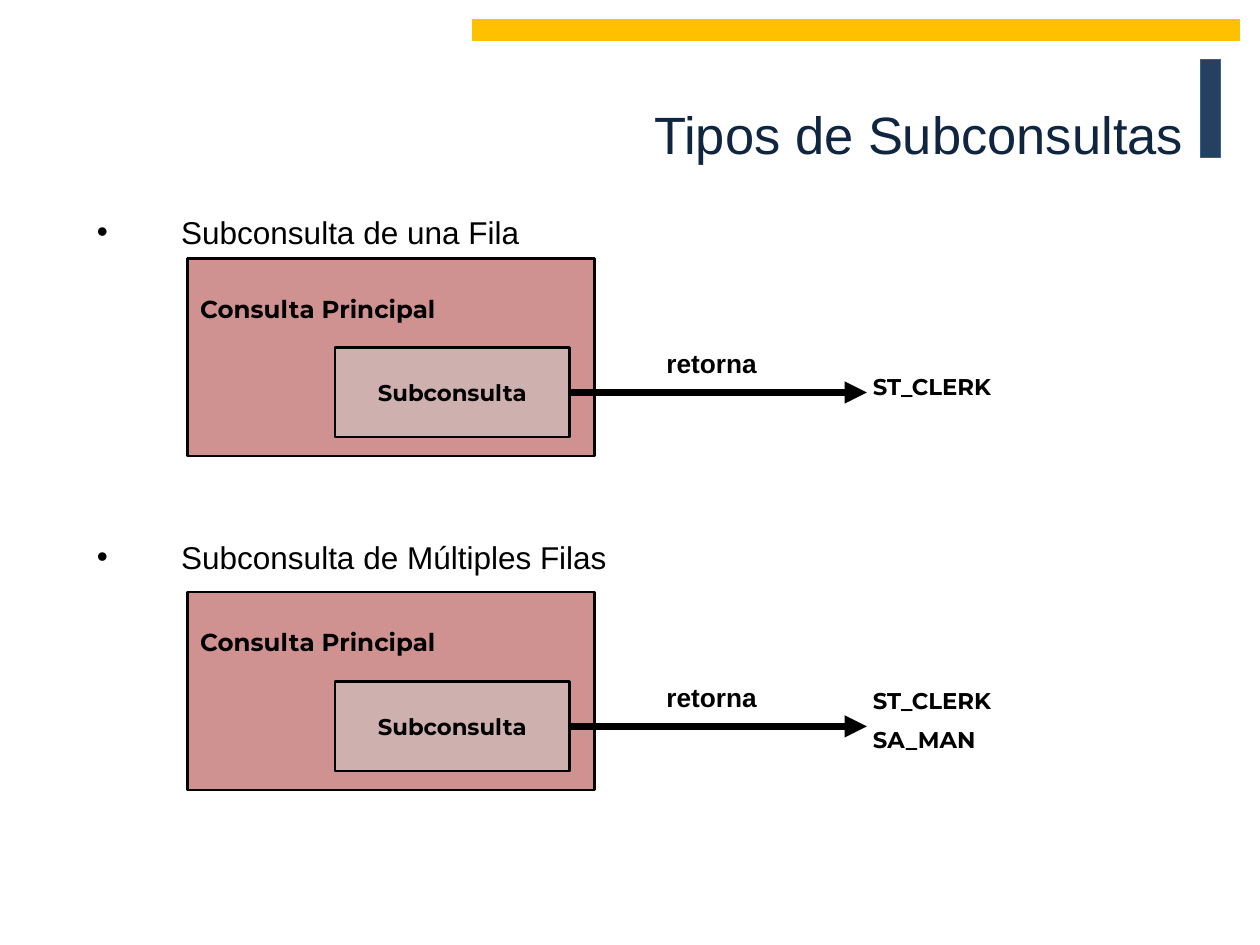
from lxml.etree import SubElement
from pptx import Presentation
from pptx.dml.color import RGBColor
from pptx.enum.shapes import MSO_CONNECTOR, MSO_SHAPE
from pptx.enum.text import MSO_ANCHOR, PP_ALIGN
from pptx.oxml.ns import qn
from pptx.util import Inches, Pt

BLACK = RGBColor(0x00, 0x00, 0x00)
NAVY = RGBColor(0x10, 0x25, 0x3F)
SLATE = RGBColor(0x25, 0x40, 0x61)
BLUE = RGBColor(0x37, 0x60, 0x92)
GOLD = RGBColor(0xFF, 0xC0, 0x00)
ROSE = RGBColor(0xD0, 0x92, 0x90)
PALE_ROSE = RGBColor(0xCE, 0xB0, 0xAF)


class SubqueryPage:
    """Style and current slide for the subquery diagrams."""

    body_font = "Arial"
    label_font = "Montserrat"

    def __init__(self, deck):
        self.page = deck.slides.add_slide(deck.slide_layouts[6])

    def add_span(self, para, text, size, font, color=BLACK, bold=True):
        span = para.add_run()
        span.text = text
        span.font.size = Pt(size)
        span.font.name = font
        span.font.bold = bold
        span.font.color.rgb = color

    def rectangle(self, left, top, width, height, fill, line=BLACK, weight=1.5):
        box = self.page.shapes.add_shape(
            MSO_SHAPE.RECTANGLE, Inches(left), Inches(top), Inches(width), Inches(height))
        box.shadow.inherit = False
        box.fill.solid()
        box.fill.fore_color.rgb = fill
        box.line.color.rgb = line
        box.line.width = Pt(weight)
        return box

    def text_box(self, left, top, width, height, wrap=False):
        box = self.page.shapes.add_textbox(
            Inches(left), Inches(top), Inches(width), Inches(height))
        box.text_frame.word_wrap = wrap
        return box.text_frame

    def title(self, text):
        frame = self.text_box(1.14, 0.26, 8.35, 1.6, wrap=True)
        frame.vertical_anchor = MSO_ANCHOR.MIDDLE
        para = frame.paragraphs[0]
        para.alignment = PP_ALIGN.RIGHT
        self.add_span(para, text, 30, self.body_font, NAVY, bold=False)

    def lines(self, frame, texts, size, font, gap, bold=True):
        for index, text in enumerate(texts):
            para = frame.add_paragraph() if index else frame.paragraphs[0]
            if index:
                para.space_before = Pt(gap)
            self.add_span(para, text, size, font, bold=bold)

    def bullets(self, texts, gap):
        frame = self.text_box(0.67, 1.7, 8.74, 0.45, wrap=True)
        self.lines(frame, texts, 18, self.body_font, gap, bold=False)
        for para in frame.paragraphs:
            para.line_spacing = 0.8
            properties = para._p.get_or_add_pPr()
            properties.set("marL", str(Inches(0.67)))
            properties.set("indent", str(Inches(-0.67)))
            SubElement(properties, qn("a:buFont")).set("typeface", self.body_font)
            SubElement(properties, qn("a:buChar")).set("char", "•")

    def arrow(self, start_box, end_left):
        middle = start_box.top + start_box.height // 2
        arrow = self.page.shapes.add_connector(
            MSO_CONNECTOR.STRAIGHT, start_box.left + start_box.width, middle,
            Inches(end_left), middle)
        arrow.begin_connect(start_box, 3)
        arrow.line.color.rgb = BLACK
        arrow.line.width = Pt(4.25)
        SubElement(arrow.line._get_or_add_ln(), qn("a:tailEnd")).set("type", "triangle")
        SubElement(arrow._element.spPr, qn("a:effectLst"))

    def diagram(self, top, results):
        outer = self.rectangle(1.49, top, 3.23, 1.57, ROSE).text_frame
        outer.vertical_anchor = MSO_ANCHOR.TOP
        outer.margin_top = Inches(0.28)
        outer.paragraphs[0].alignment = PP_ALIGN.LEFT
        self.add_span(outer.paragraphs[0], "Consulta Principal", 14, self.label_font)

        inner = self.rectangle(2.66, top + 0.71, 1.86, 0.71, PALE_ROSE)
        inner.text_frame.vertical_anchor = MSO_ANCHOR.MIDDLE
        para = inner.text_frame.paragraphs[0]
        para.alignment = PP_ALIGN.CENTER
        self.add_span(para, "Subconsulta", 13, self.label_font)

        self.arrow(inner, 6.88)
        caption = self.text_box(5.19, top + 0.66, 0.92, 0.35)
        self.add_span(caption.paragraphs[0], "retorna", 15, self.body_font)

        height = 0.32 * len(results)
        frame = self.text_box(6.83, top + 1.02 - height / 2, 1.23, height)
        self.lines(frame, results, 13, self.label_font, 6.5)


def main():
    deck = Presentation()
    deck.slide_width = Inches(10)
    deck.slide_height = Inches(7.5)

    slide = SubqueryPage(deck)
    slide.rectangle(9.53, 0.47, 0.16, 0.78, SLATE, BLUE, 0.75)
    slide.rectangle(3.75, 0.16, 6.09, 0.16, GOLD, GOLD, 0.75)
    slide.title("Tipos de Subconsultas")
    slide.bullets(["Subconsulta de una Fila", "Subconsulta de Múltiples Filas"], 168.5)
    slide.diagram(2.05, ["ST_CLERK"])
    slide.diagram(4.7, ["ST_CLERK", "SA_MAN"])
    deck.save("out.pptx")


if __name__ == "__main__":
    main()
